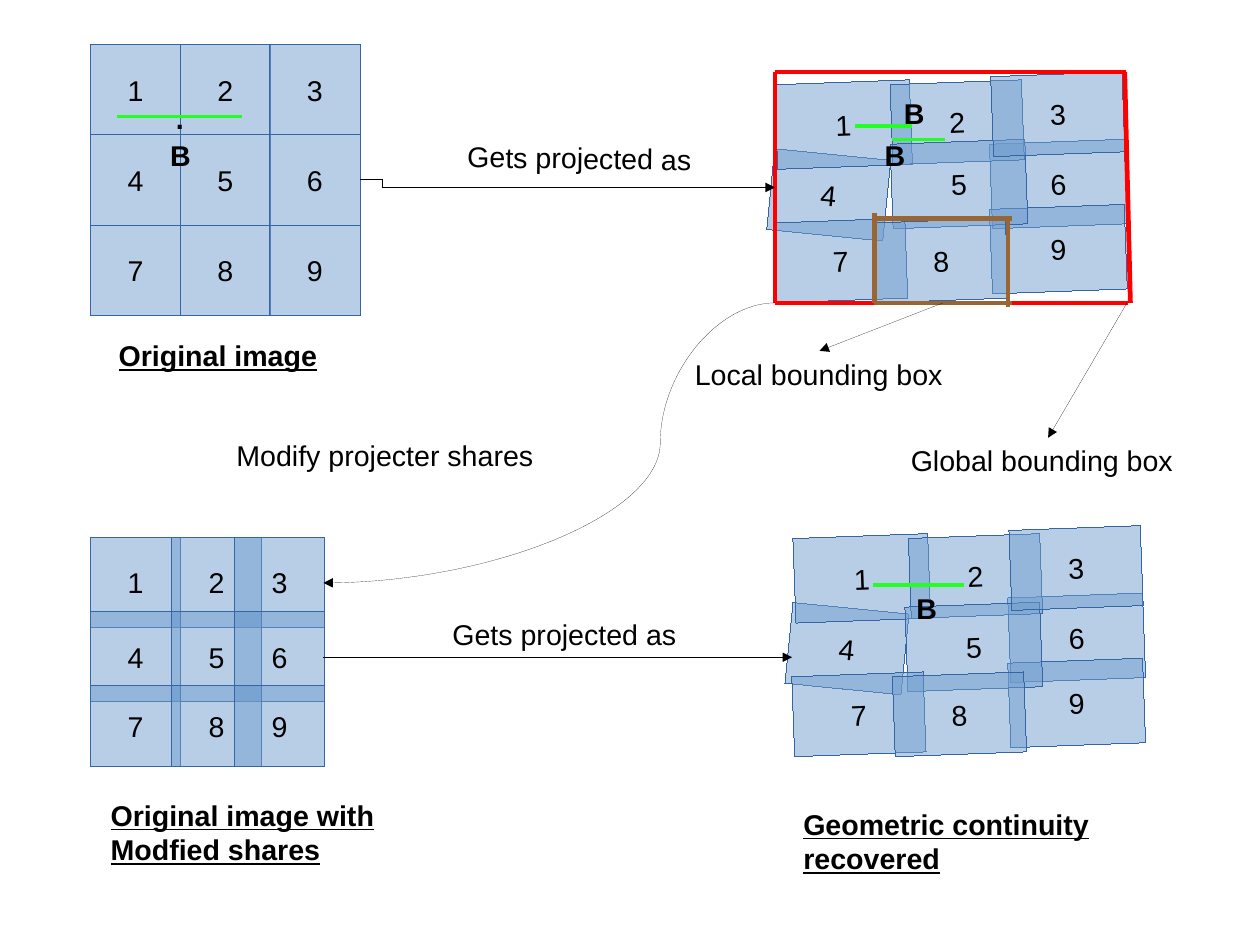
from lxml.etree import SubElement
from pptx import Presentation
from pptx.dml.color import RGBColor
from pptx.enum.shapes import MSO_CONNECTOR as CONNECTOR, MSO_SHAPE as SHAPE
from pptx.enum.text import MSO_ANCHOR as ANCHOR, MSO_AUTO_SIZE as AUTO_SIZE, PP_ALIGN as ALIGN
from pptx.oxml.ns import qn
from pptx.util import Cm, Inches, Pt

COLORS = {"tile": "729FCF", "edge": "3465A4", "text": "000000", "arrow": "000000",
          "global": "FF0000", "local": "996633", "feature": "23FF23"}

presentation = Presentation()
presentation.slide_width, presentation.slide_height = Cm(28), Cm(21)
slide = presentation.slides.add_slide(presentation.slide_layouts[6])


def write(shape, text, bold=False, underline=False):
    shape.text_frame.text = text
    font = shape.text_frame.paragraphs[0].runs[0].font
    font.name, font.size = "Arial", Pt(18)
    font.color.rgb = RGBColor.from_string(COLORS["text"])
    font.bold, font.underline = bold, underline


def connect(start, end, color, width=0, kind=CONNECTOR.STRAIGHT, bend=None):
    """Draw a line; black ones get an arrowhead, bend is the turn's share of the length."""
    points = [Inches(value) for value in (*start, *end)]
    connector = slide.shapes.add_connector(kind, *points)
    connector.line.color.rgb = RGBColor.from_string(COLORS[color])
    properties = connector._element.spPr
    outline = properties.find(qn("a:ln"))
    outline.set("w", str(Pt(width)))  # a zero width must be written out to give a hairline
    if color == "arrow":
        SubElement(outline, qn("a:tailEnd"), type="triangle")
    if bend is not None:
        guides = properties.find(qn("a:prstGeom")).find(qn("a:avLst"))
        SubElement(guides, qn("a:gd"), name="adj1", fmla=f"val {round(bend * 100000)}")
    SubElement(properties, qn("a:effectLst"))


# Tiles: number, left, top, width, height, rotation
TILE = 0.79
tiles = []
for index in range(9):
    row, column = divmod(index, 3)
    tiles.append((index + 1, 0.79 + column * 0.785, 0.39 + row * 0.79, TILE, TILE, 0))

projected = [
    (4, 6.74, 1.35, 1.02, 0.71, 5.7),
    (6, 8.67, 1.24, 1.18, 0.74, -2.1),
    (9, 8.67, 1.81, 1.18, 0.74, -2.1),
    (1, 6.79, 0.72, 1.18, 0.74, -2.1),
    (2, 7.8, 0.72, 1.15, 0.7, -2.1),
    (5, 7.8, 1.24, 1.18, 0.74, -2.1),
    (7, 6.78, 1.93, 1.15, 0.7, -2.1),
    (8, 7.66, 1.93, 1.15, 0.7, -2.1),
    (3, 8.68, 0.65, 1.15, 0.7, -2.1),
]
tiles += projected
for number, left, top, *rest in projected:
    shift_x, shift_y = (0.13, 4.05) if number == 5 else (0.16, 3.97)
    tiles.append((number, left + shift_x, top + shift_y, *rest))

for index in range(9):
    row, column = divmod(index, 3)
    height = 0.71 if row == 2 else TILE
    tiles.append((index + 1, (0.79, 1.5, 2.05)[column], 4.7 + row * 0.65, TILE, height, 0))

for number, left, top, width, height, rotation in tiles:
    tile = slide.shapes.add_shape(SHAPE.RECTANGLE, Inches(left), Inches(top),
                                  Inches(width), Inches(height))
    tile.rotation = rotation
    tile.shadow.inherit = False
    tile.fill.solid()
    tile.fill.fore_color.rgb = RGBColor.from_string(COLORS["tile"])
    properties = tile._element.spPr
    fill_color = properties.find(qn("a:solidFill")).find(qn("a:srgbClr"))
    SubElement(fill_color, qn("a:alpha"), val="50000")
    tile.line.color.rgb = RGBColor.from_string(COLORS["edge"])
    properties.find(qn("a:ln")).set("w", "0")
    write(tile, str(number))
    tile.text_frame.word_wrap = False
    tile.text_frame.vertical_anchor = ANCHOR.MIDDLE
    tile.text_frame.paragraphs[0].alignment = ALIGN.CENTER

# Bounding boxes and the feature line B
for start, end, color, width in [
    ((9.85, 0.63), (6.78, 0.63), "global", 3),
    ((6.78, 2.65), (9.87, 2.65), "global", 3),
    ((9.84, 0.63), (9.89, 2.65), "global", 3),
    ((6.78, 0.63), (6.78, 2.65), "global", 3),
    ((8.85, 1.91), (7.65, 1.91), "local", 3),
    ((8.85, 2.65), (7.65, 2.65), "local", 3),
    ((7.65, 1.86), (7.65, 2.65), "local", 3),
    ((8.82, 2.69), (8.82, 1.91), "local", 3),
    ((1.02, 1.02), (2.12, 1.02), "feature", 2.3),
    ((7.48, 1.1), (7.98, 1.1), "feature", 2.3),
    ((7.8, 1.22), (8.27, 1.22), "feature", 2.3),
    ((7.64, 5.12), (8.43, 5.12), "feature", 2.3),
]:
    connect(start, end, color, width)

# Arrows
connect((3.15, 1.57), (6.78, 1.64), "arrow", kind=CONNECTOR.ELBOW, bend=0.054)
connect((6.78, 2.65), (2.83, 5.1), "arrow", kind=CONNECTOR.CURVE, bend=0.254)
connect((2.83, 5.75), (6.93, 5.75), "arrow")
connect((8.25, 2.65), (7.17, 3.07), "arrow")
connect((9.86, 2.65), (9.17, 3.83), "arrow")

# Labels: text, left, top, width, height, rotation, bold, underline
for text, left, top, width, height, rotation, bold, underline in [
    ("Gets projected as", 3.99, 1.18, 2.19, 0.43, 0.7, False, False),
    ("Gets projected as", 3.86, 5.35, 2.28, 0.38, 0, False, False),
    ("Modify projecter shares", 1.97, 3.78, 2.99, 0.47, 0, False, False),
    ("Local bounding box", 5.98, 3.07, 2.38, 0.56, 0, False, False),
    ("Global bounding box", 7.87, 3.83, 2.6, 0.66, 0, False, False),
    ("Original image", 0.94, 2.91, 2.2, 0.63, 0, True, True),
    ("Original image with Modfied shares", 0.87, 6.93, 3.07, 0.71, 0, True, True),
    ("Geometric continuity recovered", 6.93, 7.01, 3.23, 0.66, 0, True, True),
    (".", 1.44, 0.83, 0.3, 0.38, 0, True, False),
    ("B", 1.39, 1.16, 0.38, 0.38, 0, True, False),
    ("B", 7.81, 0.79, 0.38, 0.38, 0, True, False),
    ("B", 7.64, 1.16, 0.39, 0.38, 0, True, False),
    ("B", 7.92, 5.12, 0.43, 0.38, 0, True, False),
]:
    label = slide.shapes.add_textbox(Inches(left), Inches(top), Inches(width), Inches(height))
    label.rotation = rotation
    label.text_frame.word_wrap = True
    label.text_frame.auto_size = AUTO_SIZE.SHAPE_TO_FIT_TEXT
    write(label, text, bold, underline)

presentation.save("out.pptx")
